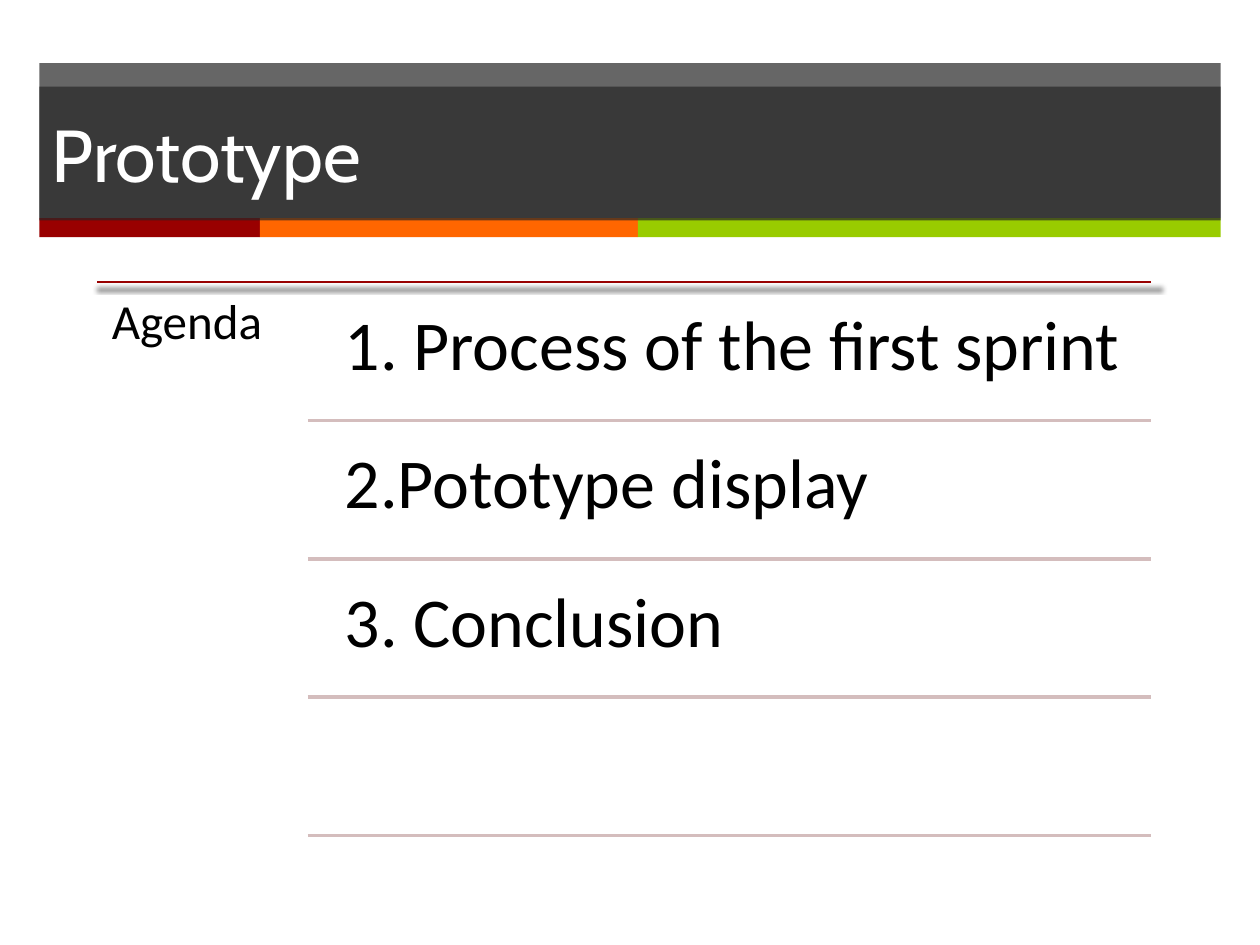
from dataclasses import dataclass
from lxml.etree import SubElement
from pptx import Presentation
from pptx.dml.color import RGBColor
from pptx.enum.shapes import MSO_CONNECTOR, MSO_SHAPE
from pptx.enum.text import MSO_ANCHOR, PP_ALIGN
from pptx.oxml.ns import qn
from pptx.util import Pt


@dataclass(frozen=True)
class Theme:
    """Colours, fonts and type sizes of the deck."""
    banner: str = "262626"
    banner_alpha: int = 70
    stripes: tuple = ("990000", "FF6600", "99CC00")
    rule: str = "990000"
    separator: str = "D4BDBD"
    shadow: str = "000000"
    title_text: str = "FFFFFF"
    body_text: str = "000000"
    title_font: str = "Cabin"
    body_font: str = "Calibri"
    title_size: int = 42
    label_size: int = 28
    item_size: int = 40


THEME = Theme()


def set_all(target, values):
    """Set each named attribute of the target."""
    for name, value in values.items():
        setattr(target, name, value)


def add_bar(page, box, color, alpha=100):
    """Add a plain filled rectangle in the box (left, top, width, height)."""
    bar = page.shapes.add_shape(MSO_SHAPE.RECTANGLE, *map(Pt, box))
    bar.shadow.inherit = False
    bar.line.fill.background()
    bar.fill.solid()
    bar.fill.fore_color.rgb = RGBColor.from_string(color)
    if alpha < 100:
        tint = bar.fill._xPr.find(qn("a:solidFill"))[0]
        SubElement(tint, qn("a:alpha"), val=str(alpha * 1000))
    return bar


def write(shape, text, font, size, color, frame_format, para_format):
    """Write one left-aligned paragraph into the shape."""
    frame = shape.text_frame
    set_all(frame, {"word_wrap": True, **frame_format})
    para = frame.paragraphs[0]
    set_all(para, {"alignment": PP_ALIGN.LEFT, **para_format})
    span = para.add_run()
    span.text = text
    set_all(span.font, {"name": font, "size": Pt(size)})
    span.font.color.rgb = RGBColor.from_string(color)


def add_body_text(page, box, text, size, inset):
    """Add a body text box with equal insets on all sides."""
    shape = page.shapes.add_textbox(*map(Pt, box))
    sides = ("left", "top", "right", "bottom")
    frame_format = {f"margin_{side}": Pt(inset) for side in sides}
    frame_format["vertical_anchor"] = MSO_ANCHOR.TOP
    write(shape, text, THEME.body_font, size, THEME.body_text, frame_format,
          {"line_spacing": 0.9, "space_after": Pt(0.35 * size)})


def add_rule(page, left, right, top, color, weight, shadow=False):
    """Add a horizontal line, with a soft shadow below it if asked."""
    rule = page.shapes.add_connector(
        MSO_CONNECTOR.STRAIGHT, Pt(left), Pt(top), Pt(right), Pt(top))
    rule.line.width = Pt(weight)
    rule.line.color.rgb = RGBColor.from_string(color)
    effects = SubElement(rule._element.spPr, qn("a:effectLst"))
    if shadow:
        outer = SubElement(
            effects, qn("a:outerShdw"), blurRad=str(Pt(3)), dist=str(Pt(2)),
            dir="6600000", sx="101000", sy="101000", rotWithShape="0")
        tint = SubElement(outer, qn("a:srgbClr"), val=THEME.shadow)
        SubElement(tint, qn("a:alpha"), val="75000")


def add_banner(page, box, title):
    """Draw the title banner with its row of coloured stripes."""
    left, top, width, height = box
    stripe_height = 10.8
    base = height - stripe_height
    add_bar(page, (left, top, width, base), THEME.banner, THEME.banner_alpha)
    stripe_left = left
    for color, stripe_width in zip(THEME.stripes, (126, 216, 333)):
        add_bar(page, (stripe_left, top + base, stripe_width, stripe_height),
                color)
        stripe_left += stripe_width
    title_bar = add_bar(page, (left, top + 13.5, width, 76.5),
                        THEME.banner, THEME.banner_alpha)
    write(title_bar, title, THEME.title_font, THEME.title_size,
          THEME.title_text, {"vertical_anchor": MSO_ANCHOR.MIDDLE}, {})


def add_agenda(page, box, label, items, row_count):
    """Draw a label column beside evenly spaced, ruled rows."""
    left, top, width, height = box
    right = left + width
    label_width = width / 5
    pitch = 79
    gap = 4
    item_left = left + label_width + 9
    add_rule(page, left, right, top, THEME.rule, 1, shadow=True)
    add_body_text(page, (left, top, label_width, height), label,
                  THEME.label_size, 8.4)
    for row in range(row_count):
        row_top = top + row * pitch
        if row < len(items):
            add_body_text(
                page, (item_left, row_top + gap, right - item_left,
                       pitch - gap),
                items[row], THEME.item_size, 12)
        add_rule(page, left + label_width, right, row_top + pitch,
                 THEME.separator, 2)


def main():
    """Build and save the deck."""
    deck = Presentation()
    set_all(deck, {"slide_width": Pt(720), "slide_height": Pt(540)})
    page = deck.slides.add_slide(deck.slide_layouts[6])
    add_banner(page, (22.5, 36, 675, 99.5), "Prototype")
    add_agenda(page, (55.5, 161.3, 602.5, 319.7), "Agenda",
               ("1. Process of the first sprint", "2.Pototype display ",
                "3. Conclusion"), row_count=4)
    deck.save("out.pptx")


main()
